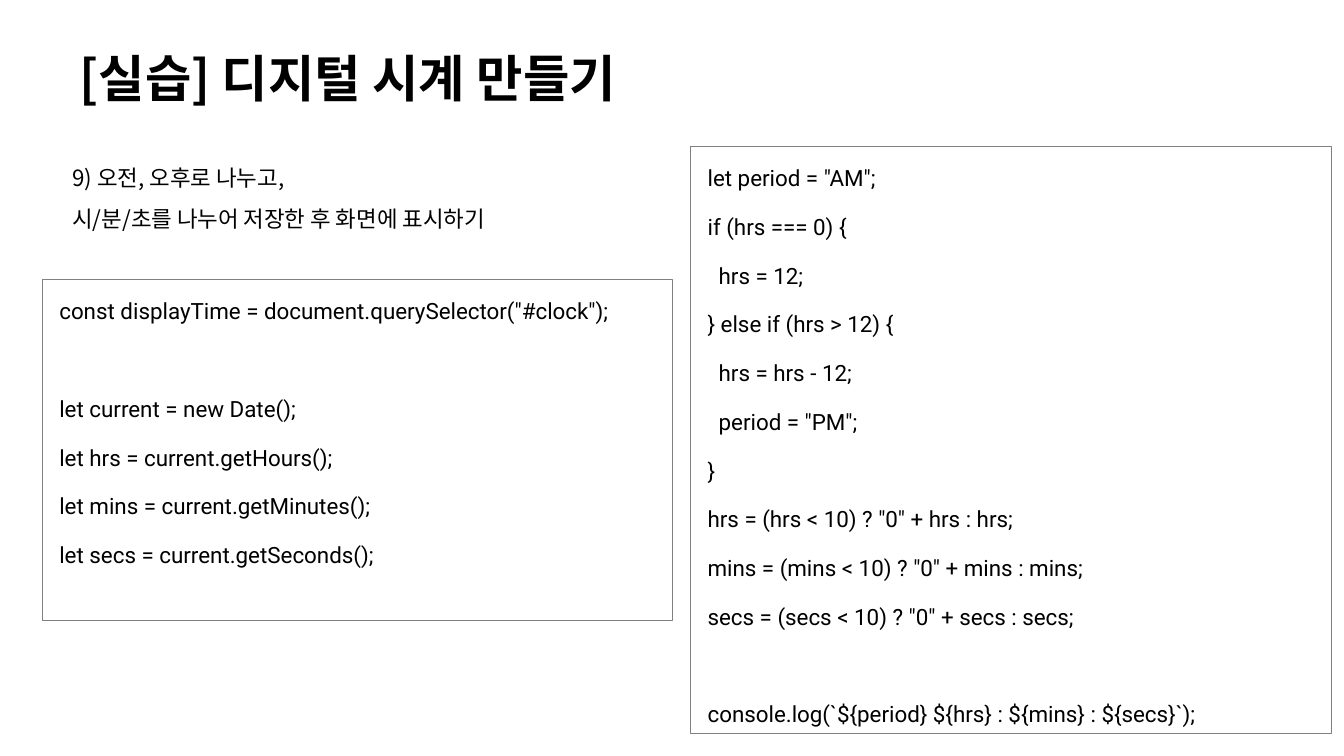
"""Build the digital clock practice slide."""
from lxml.etree import SubElement
from pptx import Presentation
from pptx.dml.color import RGBColor
from pptx.enum.shapes import MSO_SHAPE as Shape
from pptx.enum.text import MSO_ANCHOR as Anchor, MSO_AUTO_SIZE as AutoSize, PP_ALIGN as Align
from pptx.oxml.ns import qn
from pptx.util import Inches, Pt

BLACK = RGBColor(0x00, 0x00, 0x00)
GRAY = RGBColor(0x80, 0x80, 0x80)
KOREAN_FONT = "Noto Sans CJK KR"
CODE_FONT = "Roboto"
BODY_SIZE = 16
CODE_SPACING = 3
SECTION_GAP = 37.8

CLOCK_SETUP = [
    ['const displayTime = document.querySelector("#clock");'],
    [
        "let current = new Date();",
        "let hrs = current.getHours();",
        "let mins = current.getMinutes();",
        "let secs = current.getSeconds();",
    ],
]
CLOCK_DISPLAY = [
    [
        'let period = "AM";',
        "if (hrs === 0) {",
        "  hrs = 12;",
        "} else if (hrs > 12) {",
        "  hrs = hrs - 12;",
        '  period = "PM";',
        "}",
        'hrs = (hrs < 10) ? "0" + hrs : hrs;',
        'mins = (mins < 10) ? "0" + mins : mins;',
        'secs = (secs < 10) ? "0" + secs : secs;',
    ],
    ["console.log(`${period} ${hrs} : ${mins} : ${secs}`);"],
]


class PracticeSlide:
    """Hold the slide and its text style."""

    def __init__(self, presentation):
        self.slide = presentation.slides.add_slide(presentation.slide_layouts[5])

    def format_paragraph(self, paragraph, font_name, size, line_spacing, bold=False):
        paragraph.alignment = Align.LEFT
        paragraph.line_spacing = line_spacing
        for run in paragraph.runs:
            run.font.name = font_name
            run.font.size = Pt(size)
            run.font.bold = bold
            run.font.color.rgb = BLACK
            SubElement(run.font._element, qn("a:ea"), typeface=font_name)

    def prepare_frame(self, text_frame, anchor):
        text_frame.word_wrap = True
        text_frame.auto_size = AutoSize.NONE
        text_frame.vertical_anchor = anchor

    def add_title(self, text, left, top, width, height):
        title = self.slide.shapes.title
        title.left, title.top = Inches(left), Inches(top)
        title.width, title.height = Inches(width), Inches(height)
        title.text_frame.text = text
        self.prepare_frame(title.text_frame, Anchor.MIDDLE)
        self.format_paragraph(title.text_frame.paragraphs[0], KOREAN_FONT, 36, 0.9, True)

    def add_text(self, text, left, top, width, height):
        box = self.slide.shapes.add_textbox(
            Inches(left), Inches(top), Inches(width), Inches(height))
        box.text_frame.text = text
        self.prepare_frame(box.text_frame, Anchor.TOP)
        self.format_paragraph(box.text_frame.paragraphs[0], KOREAN_FONT, BODY_SIZE, 1.5)

    def add_code(self, sections, left, top, width, height):
        shape = self.slide.shapes.add_shape(
            Shape.RECTANGLE, Inches(left), Inches(top), Inches(width), Inches(height))
        shape.shadow.inherit = False
        shape.fill.background()
        shape.line.color.rgb = GRAY
        shape.line.width = Pt(0.75)
        text_frame = shape.text_frame
        text_frame.text = "\n".join(line for section in sections for line in section)
        self.prepare_frame(text_frame, Anchor.TOP)
        paragraphs = iter(text_frame.paragraphs)
        for section in sections:
            for index in range(len(section)):
                paragraph = next(paragraphs)
                self.format_paragraph(paragraph, CODE_FONT, BODY_SIZE, 1.5)
                paragraph.space_before = Pt(CODE_SPACING if index else SECTION_GAP)
                paragraph.space_after = Pt(CODE_SPACING)
                properties = paragraph._p.get_or_add_pPr()
                properties.set("marL", str(Inches(0.07)))
                properties.set("indent", "0")
        text_frame.paragraphs[0].space_before = Pt(0)


def main():
    presentation = Presentation()
    presentation.slide_width = Inches(13.33)
    presentation.slide_height = Inches(7.5)
    practice = PracticeSlide(presentation)
    practice.add_title("[실습] 디지털 시계 만들기", 0.69, 0.35, 9.74, 0.92)
    practice.add_text("9) 오전, 오후로 나누고,\v시/분/초를 나누어 저장한 후 화면에 표시하기",
                      0.62, 1.45, 5.84, 0.86)
    practice.add_code(CLOCK_SETUP, 0.42, 2.77, 6.25, 3.39)
    practice.add_code(CLOCK_DISPLAY, 6.85, 1.45, 6.36, 5.83)
    presentation.save("out.pptx")


if __name__ == "__main__":
    main()
